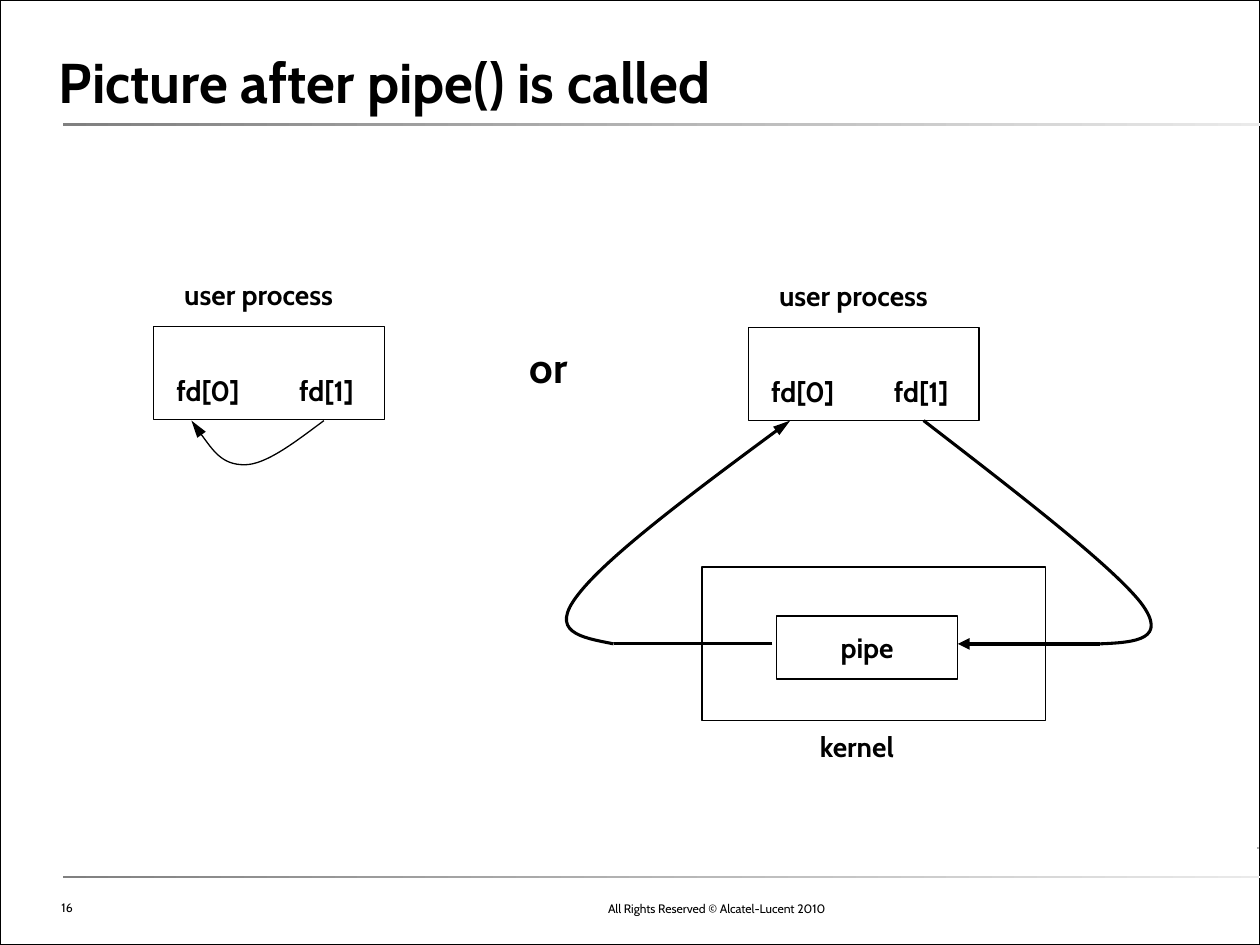
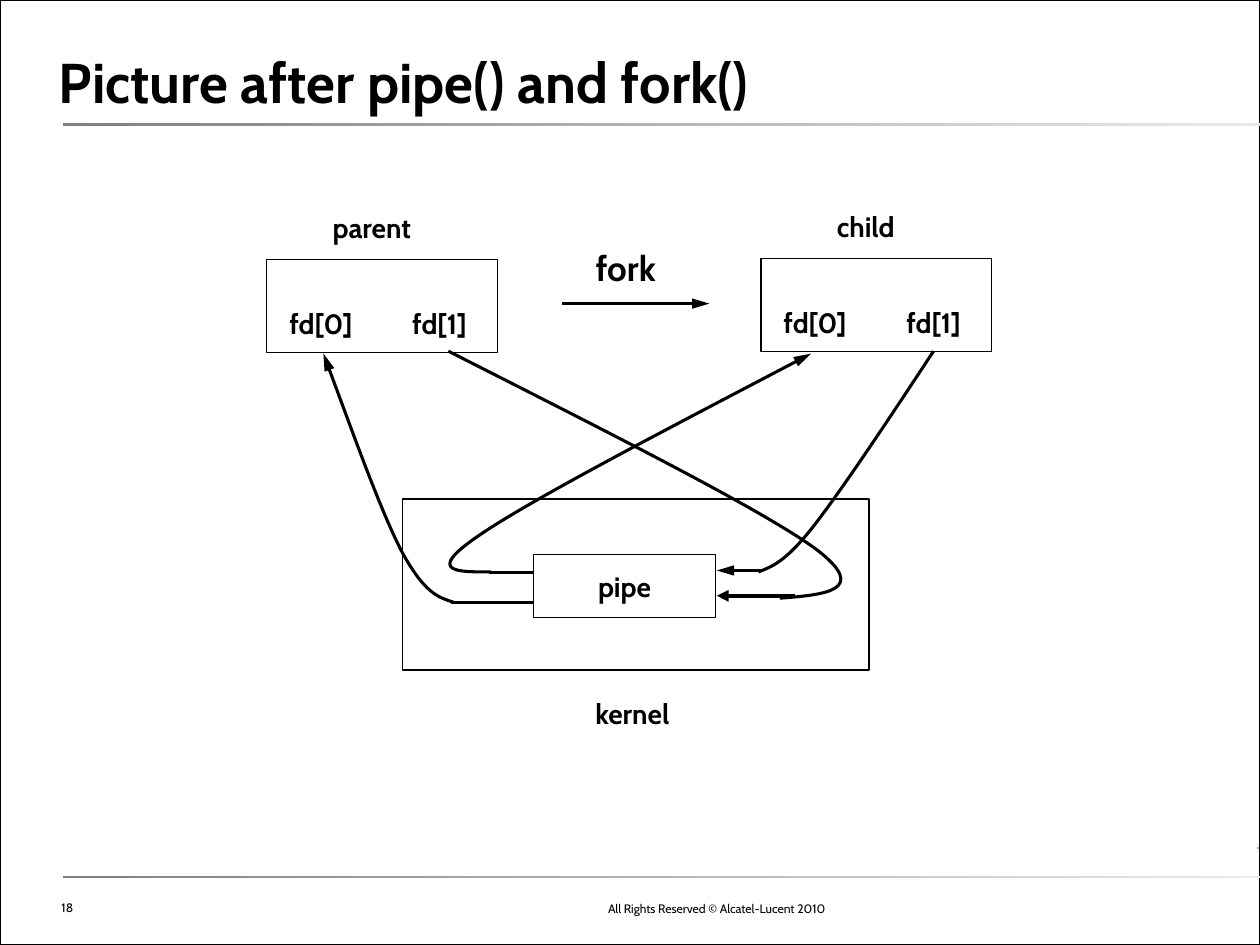
from lxml import etree
from pptx import Presentation
from pptx.dml.color import RGBColor
from pptx.enum.shapes import MSO_CONNECTOR, MSO_SHAPE
from pptx.enum.text import MSO_ANCHOR, PP_ALIGN
from pptx.oxml.ns import qn
from pptx.util import Cm, Pt

RECTANGLE = MSO_SHAPE.RECTANGLE
STRAIGHT = MSO_CONNECTOR.STRAIGHT
TOP, BOTTOM = MSO_ANCHOR.TOP, MSO_ANCHOR.BOTTOM
LEFT, CENTER, RIGHT = PP_ALIGN.LEFT, PP_ALIGN.CENTER, PP_ALIGN.RIGHT

COLORS = {"ink": "000000", "rule": "808080", "fade": "EAEAEA", "speck": "D5D5D5"}
FONT = "Cabin"
PAGE_WIDTH, PAGE_HEIGHT = 25.4, 19.05
LABEL_HEIGHT = 1.27
LABEL_INSETS = (0.3, 0.3)
SMALL_INSETS = (0.25, 0.13)
THIN, MEDIUM, THICK = 0.75, 1.75, 2.25


def color(name):
    """Return the named colour."""
    return RGBColor.from_string(COLORS[name])


def write(shape, text, size, bold=True, align=CENTER, anchor=TOP, insets=LABEL_INSETS):
    """Put one styled paragraph into a shape and return the paragraph."""
    frame = shape.text_frame
    frame.word_wrap = True
    frame.vertical_anchor = anchor
    frame.margin_left = frame.margin_right = Cm(insets[0])
    frame.margin_top = frame.margin_bottom = Cm(insets[1])
    paragraph = frame.paragraphs[0]
    paragraph.text = text
    paragraph.alignment = align
    paragraph.font.name = FONT
    paragraph.font.size = Pt(size)
    paragraph.font.bold = bold
    paragraph.font.color.rgb = color("ink")
    return paragraph


def add_text(slide, left, top, width, height, text, size=16, **style):
    """Add a text box and return its paragraph."""
    box = slide.shapes.add_textbox(Cm(left), Cm(top), Cm(width), Cm(height))
    return write(box, text, size, **style)


def add_frame(slide, left, top, width, height, weight=THIN):
    """Add an unfilled outlined rectangle."""
    shape = slide.shapes.add_shape(RECTANGLE, Cm(left), Cm(top), Cm(width), Cm(height))
    shape.shadow.inherit = False
    shape.fill.background()
    style_line(shape, weight)
    return shape


def add_rule(slide, left, top, width, height, fade="fade"):
    """Add a thin bar that fades out to the right."""
    shape = slide.shapes.add_shape(RECTANGLE, Cm(left), Cm(top), Cm(width), Cm(height))
    shape.shadow.inherit = False
    shape.line.fill.background()
    shape.fill.gradient()
    shape.fill.gradient_angle = 0
    for stop, name in zip(shape.fill.gradient_stops, ("rule", fade)):
        stop.color.rgb = color(name)


def style_line(shape, weight, arrow=False):
    """Set a black line, with an arrowhead at its end if asked."""
    shape.line.color.rgb = color("ink")
    shape.line.width = Pt(weight)
    if arrow:
        line = shape._element.spPr.find(qn("a:ln"))
        length = "med" if weight > 2 else "lg"
        etree.SubElement(line, qn("a:tailEnd"), type="triangle", w="med", len=length)


def add_line(slide, origin, start, end, weight=MEDIUM, arrow=False):
    """Add a straight line between two points relative to the origin."""
    left, top = origin
    connector = slide.shapes.add_connector(
        STRAIGHT, Cm(left + start[0]), Cm(top + start[1]), Cm(left + end[0]), Cm(top + end[1]))
    style_line(connector, weight, arrow)
    etree.SubElement(connector._element.spPr, qn("a:effectLst"))


def add_curve(slide, origin, points, weight=MEDIUM, arrow=False):
    """Add a Bezier curve: a start point, then three points a segment."""
    left, top = origin
    places = [(Cm(left + x), Cm(top + y)) for x, y in points]
    builder = slide.shapes.build_freeform(*places[0])
    builder.add_line_segments(places[1:], close=False)
    shape = builder.convert_to_shape()
    outline = shape._element.find(".//" + qn("a:path"))
    steps = outline.findall(qn("a:lnTo"))
    for first in range(0, len(steps), 3):
        curve = etree.SubElement(outline, qn("a:cubicBezTo"))
        for step in steps[first:first + 3]:
            curve.append(step[0])
            outline.remove(step)
    shape.shadow.inherit = False
    shape.fill.background()
    style_line(shape, weight, arrow)


def add_process(slide, left, top, name):
    """Draw a named process box with its two file descriptors."""
    add_frame(slide, left, top, 4.65, 1.88)
    add_text(slide, left - 0.4, top - 1.28, 5.03, LABEL_HEIGHT, name)
    for index in range(2):
        add_text(slide, left + 2.39 * index, top + 0.66, 2.18, LABEL_HEIGHT, f"fd[{index}]")


def add_kernel(slide, left, top, width, height, pipe, label, label_width):
    """Draw the kernel box, the pipe inside it and the label below it."""
    add_frame(slide, left, top, width, height)
    write(add_frame(slide, left + pipe[0], top + pipe[1], 3.66, LABEL_HEIGHT), "pipe", 16)
    add_text(slide, left + label[0], top + label[1], label_width, LABEL_HEIGHT, "kernel")


def add_page(presentation, title, number):
    """Add a slide with the shared border, rules, title and footer."""
    slide = presentation.slides.add_slide(presentation.slide_layouts[6])
    add_rule(slide, 25.35, 17.07, 0.03, 0.05, "speck")
    add_frame(slide, 0, 0, PAGE_WIDTH, PAGE_HEIGHT, 1)
    for top in (2.48, 17.65):
        add_rule(slide, 1.27, top, 24.2, 0.06)
    heading = add_text(slide, 1.19, 0.2, 23.01, 2.11, title, 32,
                       align=LEFT, anchor=BOTTOM, insets=(0, 0))
    heading.line_spacing = 1.2
    add_text(slide, 8.89, 17.96, 8, 0.64, "All Rights Reserved © Alcatel-Lucent 2010", 7,
             bold=False, align=RIGHT, anchor=BOTTOM, insets=SMALL_INSETS)
    add_text(slide, 0.99, 18.01, 10.77, 0.58, str(number), 7,
             bold=False, align=LEFT, insets=SMALL_INSETS)
    return slide


def add_self_loop(slide, left, top):
    """Draw a process whose write end loops back to its read end."""
    add_process(slide, left, top, "user process")
    add_curve(slide, (left, top), [
        (3.43, 1.9), (2.84, 2.34), (2.26, 2.79), (1.83, 2.79),
        (1.37, 2.79), (1.07, 2.34), (0.76, 1.9)], THIN, arrow=True)


def add_kernel_loop(slide, left, top):
    """Draw a process connected to itself through the kernel pipe."""
    origin = (left, top)
    add_process(slide, left, top, "user process")
    add_kernel(slide, left - 0.94, top + 4.83, 6.93, 3.1, (1.5, 0.99), (1.78, 2.97), 2.69)
    add_curve(slide, origin, [
        (3.53, 1.88), (5.41, 3.33), (7.29, 4.78), (7.9, 5.54),
        (8.48, 6.3), (7.8, 6.35), (7.09, 6.38)])
    add_line(slide, origin, (7.09, 6.38), (4.22, 6.38), THICK, arrow=True)
    add_line(slide, origin, (0.48, 6.38), (-2.72, 6.38))
    add_curve(slide, origin, [
        (-2.72, 6.38), (-3.38, 6.25), (-4.04, 6.15), (-3.43, 5.38),
        (-2.84, 4.62), (-1.02, 3.25), (0.84, 1.88)], arrow=True)


def add_fork_diagram(slide, left, top):
    """Draw parent and child sharing the kernel pipe after a fork."""
    origin = (left, top)
    add_process(slide, left, top, "parent")
    add_process(slide, left + 9.96, top - 0.02, "child")
    add_kernel(slide, left + 2.74, top + 4.83, 9.4, 3.45, (2.64, 1.12), (3.07, 3.68), 3.12)
    add_text(slide, left + 5.94, top - 0.56, 2.59, 1.45, "fork", 20)
    add_line(slide, origin, (5.94, 0.89), (8.92, 0.89), 1.5, arrow=True)

    add_line(slide, origin, (5.38, 6.91), (3.71, 6.91))
    add_curve(slide, origin, [
        (3.76, 6.91), (3.45, 6.81), (3.18, 6.73), (2.72, 5.89),
        (2.29, 5.05), (1.73, 3.48), (1.14, 1.9)], arrow=True)
    add_line(slide, origin, (5.38, 6.32), (4.47, 6.32))
    add_curve(slide, origin, [
        (4.52, 6.3), (3.86, 6.3), (3.18, 6.32), (4.24, 5.59),
        (5.31, 4.85), (8.15, 3.38), (10.97, 1.9)], arrow=True)

    add_curve(slide, origin, [
        (3.66, 1.85), (6.81, 3.45), (9.96, 5.03), (11.07, 5.84),
        (12.17, 6.68), (11.25, 6.76), (10.34, 6.83)])
    add_line(slide, origin, (10.64, 6.78), (9.07, 6.78), THICK, arrow=True)
    add_curve(slide, origin, [
        (9.91, 6.3), (10.16, 6.2), (10.44, 6.12), (11.02, 5.38),
        (11.61, 4.62), (12.52, 3.25), (13.44, 1.85)])
    add_line(slide, origin, (9.96, 6.27), (9.07, 6.27), arrow=True)


def main():
    """Build and save the presentation."""
    presentation = Presentation()
    presentation.slide_width = Cm(PAGE_WIDTH)
    presentation.slide_height = Cm(PAGE_HEIGHT)

    slide = add_page(presentation, "Picture after pipe() is called", 16)
    add_self_loop(slide, 3.1, 6.58)
    add_text(slide, 9.75, 6.58, 2.62, 1.63, "or", 24)
    add_kernel_loop(slide, 15.09, 6.6)

    slide = add_page(presentation, "Picture after pipe() and fork()", 18)
    add_fork_diagram(slide, 5.38, 5.23)

    presentation.save("out.pptx")


if __name__ == "__main__":
    main()
